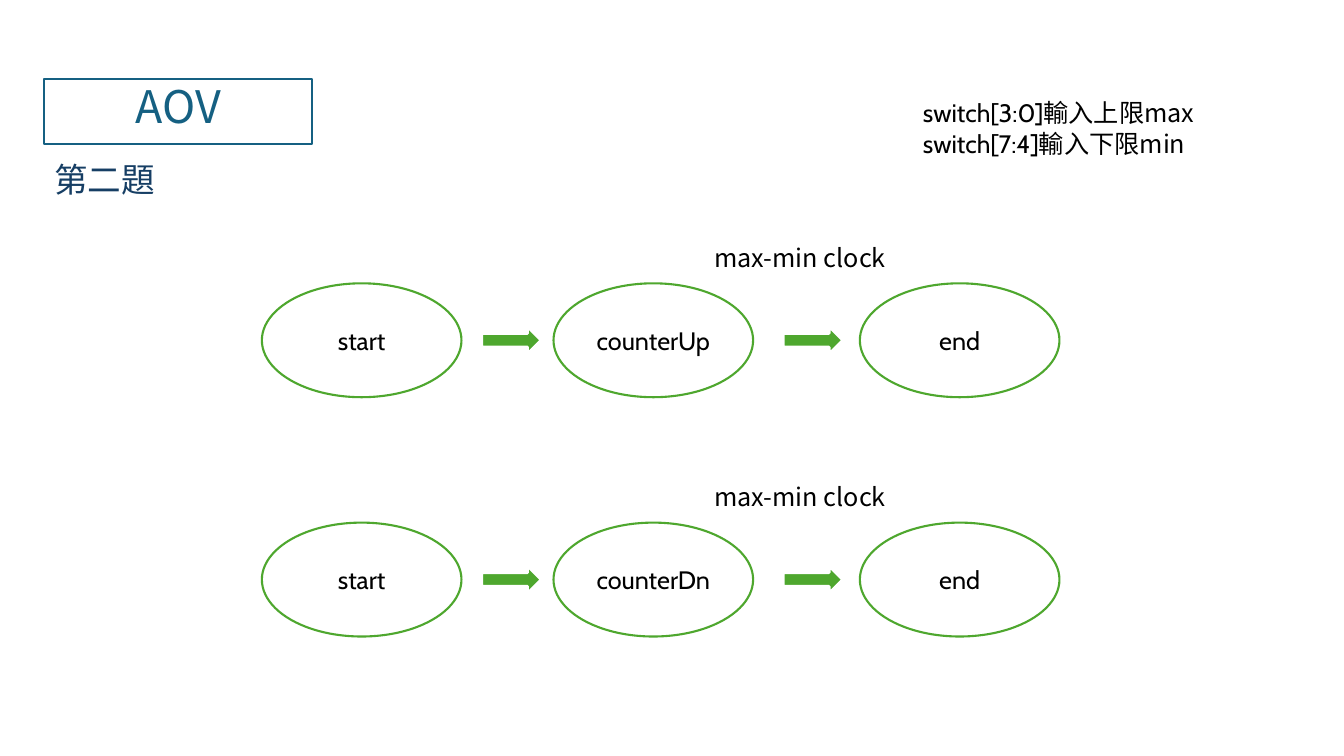
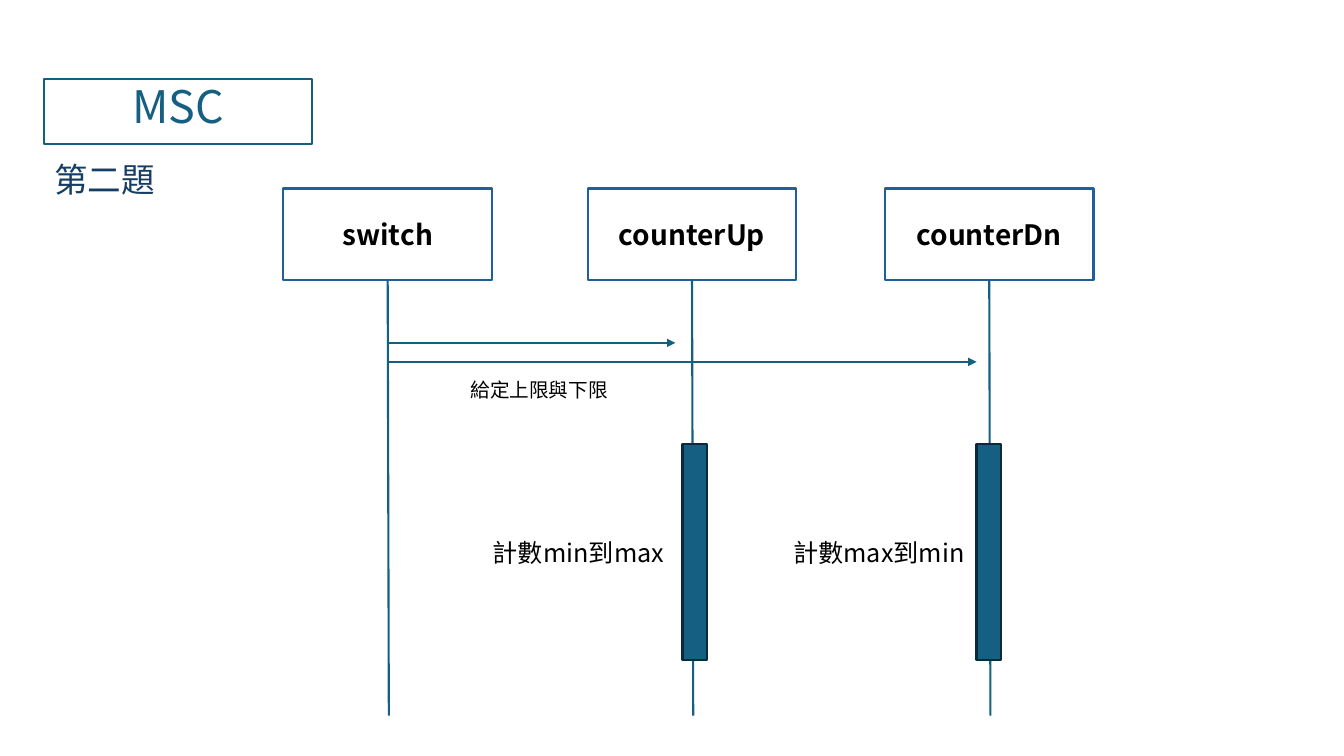
from dataclasses import dataclass

from lxml import etree
from pptx import Presentation
from pptx.dml.color import RGBColor
from pptx.enum.shapes import MSO_CONNECTOR, MSO_SHAPE
from pptx.enum.text import MSO_ANCHOR, MSO_AUTO_SIZE, PP_ALIGN
from pptx.oxml.ns import qn
from pptx.util import Cm, Pt

WHITE = RGBColor(0xFF, 0xFF, 0xFF)
BLACK = RGBColor(0x00, 0x00, 0x00)
TEAL = RGBColor(0x15, 0x60, 0x82)
DARK_TEAL = RGBColor(0x09, 0x2A, 0x39)
NAVY = RGBColor(0x16, 0x3E, 0x64)
BLUE = RGBColor(0x21, 0x5F, 0x9A)
GREEN = RGBColor(0x4E, 0xA7, 0x2E)

RECTANGLE = MSO_SHAPE.RECTANGLE
ELLIPSE = MSO_SHAPE.OVAL
RIGHT_ARROW = MSO_SHAPE.RIGHT_ARROW
STRAIGHT = MSO_CONNECTOR.STRAIGHT
TOP, MIDDLE = MSO_ANCHOR.TOP, MSO_ANCHOR.MIDDLE
LEFT, CENTER = PP_ALIGN.LEFT, PP_ALIGN.CENTER
NO_AUTOFIT = MSO_AUTO_SIZE.NONE

CJK_FONT = "Noto Sans CJK SC"
LATIN_FONT = "Cabin"
TITLE_ONLY = 5

STATE_LEFTS = (6.6, 13.95, 21.67)
STATE_TOP, STATE_WIDTH, STATE_HEIGHT = 7.14, 5.03, 2.87
ARROW_LEFTS = (12.14, 19.74)
ARROW_WIDTH, ARROW_HEIGHT = 1.5, 0.69
FLOW_PITCH = 6.03

BOX_TOP, BOX_WIDTH, BOX_HEIGHT = 4.75, 5.26, 2.31
LIFELINE_BOTTOM, LIFELINE_DRIFT = 18.03, 0.03
BAR_TOP, BAR_WIDTH, BAR_HEIGHT = 11.2, 0.61, 5.44


@dataclass(frozen=True)
class Area:
    left: float
    top: float
    width: float
    height: float

    def lengths(self) -> tuple:
        return Cm(self.left), Cm(self.top), Cm(self.width), Cm(self.height)


@dataclass(frozen=True)
class TextStyle:
    size: float = 18
    color: RGBColor = BLACK
    font: str = CJK_FONT
    bold: bool = False
    align: PP_ALIGN = LEFT
    anchor: MSO_ANCHOR = TOP


@dataclass(frozen=True)
class Participant:
    name: str
    center: float


@dataclass(frozen=True)
class Counting:
    text: str
    text_left: float
    bar_left: float


BODY = TextStyle()
TITLE = TextStyle(32, TEAL, align=CENTER)
SUBTITLE = TextStyle(24, NAVY)
STATE = TextStyle(font=LATIN_FONT, align=CENTER, anchor=MIDDLE)
PARTICIPANT = TextStyle(20, bold=True, align=CENTER, anchor=MIDDLE)
CAPTION = TextStyle(14, align=CENTER)

PARTICIPANTS = (
    Participant("switch", 9.77),
    Participant("counterUp", 17.44),
    Participant("counterDn", 24.93),
)
COUNTINGS = (
    Counting("計數min到max", 12.17, 17.2),
    Counting("計數max到min", 19.74, 24.61),
)
MESSAGES = ((17.02, 8.64), (24.61, 9.12))


def set_attributes(target, values: dict) -> None:
    for name, value in values.items():
        setattr(target, name, value)


def add_run(paragraph, text: str, style: TextStyle, font_name: str) -> None:
    run = paragraph.add_run()
    run.text = text
    run.font.color.rgb = style.color
    set_attributes(run.font, {"size": Pt(style.size), "bold": style.bold, "name": font_name})
    east_asian = etree.SubElement(run.font._element, qn("a:ea"))
    east_asian.set("typeface", CJK_FONT)


def write_text(shape, lines: list, style: TextStyle, wrap: bool = True) -> None:
    frame = shape.text_frame
    set_attributes(frame, {"auto_size": NO_AUTOFIT, "word_wrap": wrap,
                           "vertical_anchor": style.anchor})
    for index, runs in enumerate(lines):
        paragraph = frame.add_paragraph() if index else frame.paragraphs[0]
        paragraph.alignment = style.align
        for text, font_name in runs:
            add_run(paragraph, text, style, font_name)


def write_line(shape, text: str, style: TextStyle, wrap: bool = True) -> None:
    write_text(shape, [[(text, style.font)]], style, wrap)


def set_line(shape, color: RGBColor, width: float = 1.5) -> None:
    shape.line.color.rgb = color
    shape.line.width = Pt(width)


def set_fill(shape, color: RGBColor) -> None:
    shape.fill.solid()
    shape.fill.fore_color.rgb = color


def add_figure(slide, kind: MSO_SHAPE, area: Area, fill: RGBColor,
               line: RGBColor, line_width: float = 1.5):
    shape = slide.shapes.add_shape(kind, *area.lengths())
    shape.shadow.inherit = False
    set_fill(shape, fill)
    set_line(shape, line, line_width)
    return shape


def add_label(slide, text: str, area: Area, style: TextStyle = BODY, wrap: bool = True) -> None:
    write_line(slide.shapes.add_textbox(*area.lengths()), text, style, wrap)


def add_line(slide, start: tuple, end: tuple, arrow: bool = False) -> None:
    points = [Cm(value) for value in (*start, *end)]
    connector = slide.shapes.add_connector(STRAIGHT, *points)
    set_line(connector, TEAL)
    if arrow:
        head = etree.SubElement(connector.line._get_or_add_ln(), qn("a:tailEnd"))
        head.set("type", "triangle")
    etree.SubElement(connector._element.spPr, qn("a:effectLst"))


def add_titled_slide(presentation, title_text: str):
    slide = presentation.slides.add_slide(presentation.slide_layouts[TITLE_ONLY])
    title = slide.shapes.title
    left, top, width, height = Area(1.12, 2, 6.75, 1.63).lengths()
    set_attributes(title, {"left": left, "top": top, "width": width, "height": height})
    set_fill(title, WHITE)
    set_line(title, TEAL)
    write_line(title, title_text, TITLE)
    title.text_frame.paragraphs[0].line_spacing = 0.9
    add_label(slide, "第二題", Area(1.12, 3.89, 3.07, 1.28), SUBTITLE, wrap=False)
    return slide


def add_flow(slide, counter: str, offset: float) -> None:
    for name, left in zip(("start", counter, "end"), STATE_LEFTS):
        area = Area(left, STATE_TOP + offset, STATE_WIDTH, STATE_HEIGHT)
        write_line(add_figure(slide, ELLIPSE, area, WHITE, GREEN), name, STATE)
    arrow_top = STATE_TOP + offset + (STATE_HEIGHT - ARROW_HEIGHT) / 2
    for left in ARROW_LEFTS:
        area = Area(left, arrow_top, ARROW_WIDTH, ARROW_HEIGHT)
        add_figure(slide, RIGHT_ARROW, area, GREEN, WHITE, 2)
    add_label(slide, "max-min clock", Area(17.75, 5.97 + offset, 4.9, 1.02))


def add_state_slide(presentation) -> None:
    slide = add_titled_slide(presentation, "AOV")
    note = slide.shapes.add_textbox(*Area(23.01, 2.34, 7.95, 1.8).lengths())
    inputs = (("switch[3:0]", "輸入上限max"), ("switch[7:4]", "輸入下限min"))
    write_text(note, [[(signal, LATIN_FONT), (meaning, CJK_FONT)]
                      for signal, meaning in inputs], BODY)
    for index, counter in enumerate(("counterUp", "counterDn")):
        add_flow(slide, counter, index * FLOW_PITCH)


def add_sequence_slide(presentation) -> None:
    slide = add_titled_slide(presentation, "MSC")
    for participant in PARTICIPANTS:
        center = participant.center
        area = Area(center - BOX_WIDTH / 2, BOX_TOP, BOX_WIDTH, BOX_HEIGHT)
        box = add_figure(slide, RECTANGLE, area, WHITE, BLUE)
        write_line(box, participant.name, PARTICIPANT)
        add_line(slide, (center, BOX_TOP + BOX_HEIGHT),
                 (center + LIFELINE_DRIFT, LIFELINE_BOTTOM))
    message_start = PARTICIPANTS[0].center + LIFELINE_DRIFT
    for message_end, top in MESSAGES:
        add_line(slide, (message_start, top), (message_end, top), arrow=True)
    add_label(slide, "給定上限與下限", Area(11.56, 9.4, 4.06, 0.86), CAPTION)
    for counting in COUNTINGS:
        area = Area(counting.bar_left, BAR_TOP, BAR_WIDTH, BAR_HEIGHT)
        add_figure(slide, RECTANGLE, area, TEAL, DARK_TEAL)
        add_label(slide, counting.text, Area(counting.text_left, 13.41, 4.85, 1.02))


def main() -> None:
    presentation = Presentation()
    set_attributes(presentation, {"slide_width": Cm(33.87), "slide_height": Cm(19.05)})
    add_state_slide(presentation)
    add_sequence_slide(presentation)
    presentation.save("out.pptx")


if __name__ == "__main__":
    main()
